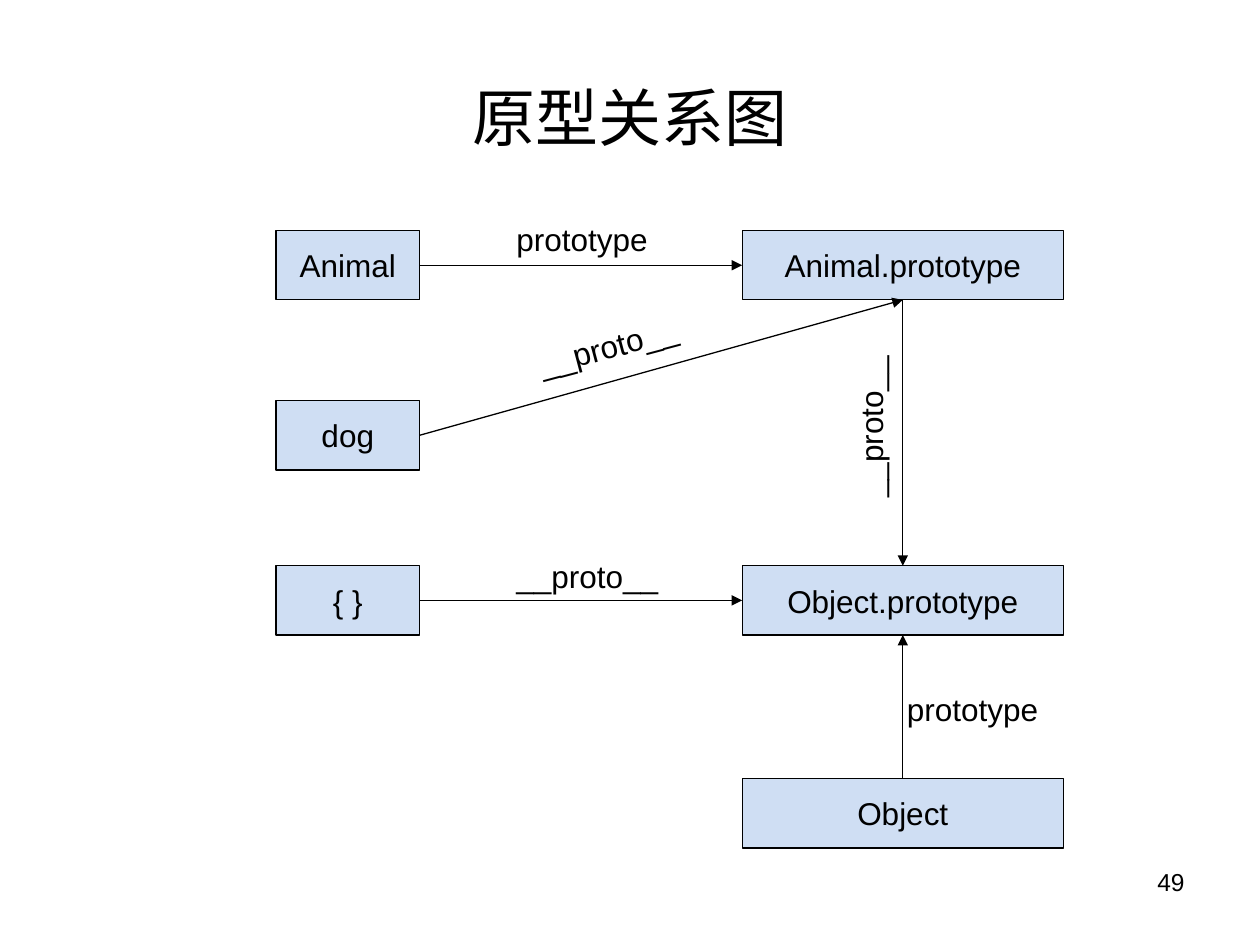
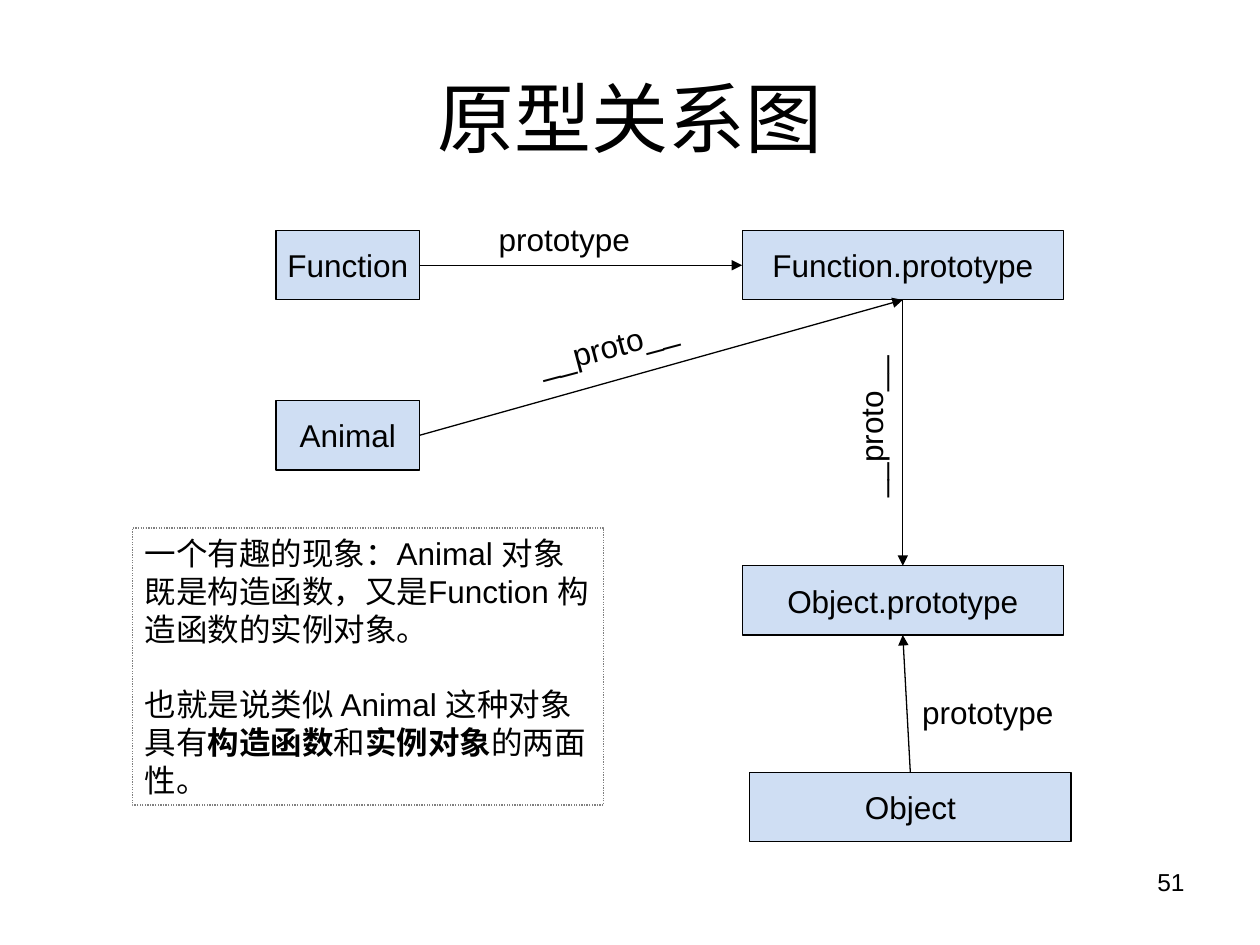
from lxml import etree
from pptx import Presentation
from pptx.dml.color import RGBColor
from pptx.enum.dml import MSO_LINE_DASH_STYLE as Dash
from pptx.enum.shapes import MSO_CONNECTOR as Connector, MSO_SHAPE as Shape
from pptx.enum.text import MSO_ANCHOR as Anchor, MSO_AUTO_SIZE as AutoSize, PP_ALIGN as Align
from pptx.oxml.ns import qn
from pptx.util import Inches, Pt

COLORS = {"ink": "000000", "node": "CFDEF3", "note_edge": "808080"}
FONT = "Arial"
BODY_SIZE = 18

# Diagram grid: (left, width) of each column, top of each row
COLUMNS = {"instance": (2.19, 1.14), "prototype": (5.89, 2.55)}
ROWS = [1.83, 3.18, 4.49, 6.18]
NODE_HEIGHT = 0.55
LABEL_HEIGHT = 0.4
TOP, LEFT, BOTTOM, RIGHT = range(4)


def color(name):
    return RGBColor.from_string(COLORS[name])


def style_text(paragraph, size=BODY_SIZE, align=Align.LEFT):
    paragraph.alignment = align
    font = paragraph.font
    font.name, font.size = FONT, Pt(size)
    font.color.rgb = color("ink")


def add_text(slide, text, left, top, width, height, size=BODY_SIZE, align=Align.LEFT):
    box = slide.shapes.add_textbox(*map(Inches, (left, top, width, height)))
    box.text_frame.word_wrap = True
    box.text_frame.text = text
    style_text(box.text_frame.paragraphs[0], size, align)
    return box


def add_rectangle(slide, left, top, width, height, edge):
    rectangle = slide.shapes.add_shape(
        Shape.RECTANGLE, *map(Inches, (left, top, width, height)))
    rectangle.shadow.inherit = False
    rectangle.line.color.rgb = color(edge)
    rectangle.line.width = Pt(0.75)
    return rectangle


def add_node(slide, text, column, row, shift=(0, 0)):
    left, width = COLUMNS[column]
    node = add_rectangle(slide, left + shift[0], ROWS[row] + shift[1],
                         width, NODE_HEIGHT, "ink")
    node.fill.solid()
    node.fill.fore_color.rgb = color("node")
    frame = node.text_frame
    frame.word_wrap = False
    frame.vertical_anchor = Anchor.MIDDLE
    frame.text = text
    style_text(frame.paragraphs[0], align=Align.CENTER)
    return node


def add_arrow(slide, source, source_side, target, target_side):
    arrow = slide.shapes.add_connector(Connector.STRAIGHT, 0, 0, 0, 0)
    arrow.begin_connect(source, source_side)
    arrow.end_connect(target, target_side)
    arrow.line.color.rgb = color("ink")
    arrow.line.width = Pt(0.75)
    line = arrow.line._get_or_add_ln()
    etree.SubElement(line, qn("a:tailEnd"), type="triangle")
    etree.SubElement(line.getparent(), qn("a:effectLst"))


def add_label(slide, text, left, top, width=1.4, rotation=0):
    label = add_text(slide, text, left, top, width, LABEL_HEIGHT)
    label.rotation = rotation


def add_note(slide, paragraphs, left, top, width, height):
    """Each paragraph is a list of (text, bold) pieces."""
    note = add_rectangle(slide, left, top, width, height, "note_edge")
    note.fill.background()
    note.line.dash_style = Dash.ROUND_DOT
    frame = note.text_frame
    frame.word_wrap = True
    frame.vertical_anchor = Anchor.TOP
    for index, pieces in enumerate(paragraphs):
        paragraph = frame.add_paragraph() if index else frame.paragraphs[0]
        style_text(paragraph)
        if index:
            paragraph.space_before = Pt(21.6)
        for text, bold in pieces:
            run = paragraph.add_run()
            run.text = text
            run.font.bold = bold


def add_diagram_slide(deck, title_size, number, constructor, instance,
                      prototype_label, object_shift=(0, 0)):
    """Title, page number and the prototype chain that both slides share."""
    slide = deck.slides.add_slide(deck.slide_layouts[5])

    # Title and page number
    title = slide.shapes.title
    title.left, title.top, title.width, title.height = map(Inches, (0.5, 0.3, 9, 1.25))
    title.text_frame.text = "原型关系图"
    title.text_frame.vertical_anchor = Anchor.MIDDLE
    title.text_frame.auto_size = AutoSize.NONE
    style_text(title.text_frame.paragraphs[0], title_size, Align.CENTER)
    add_text(slide, number, 7.17, 6.83, 2.33, 0.52, 14, Align.RIGHT)

    # Nodes
    creator = add_node(slide, constructor, "instance", 0)
    child = add_node(slide, instance, "instance", 1)
    own_prototype = add_node(slide, f"{constructor}.prototype", "prototype", 0)
    root_prototype = add_node(slide, "Object.prototype", "prototype", 2)
    root = add_node(slide, "Object", "prototype", 3, object_shift)

    # Relations
    add_arrow(slide, creator, RIGHT, own_prototype, LEFT)
    add_arrow(slide, child, RIGHT, own_prototype, BOTTOM)
    add_arrow(slide, own_prototype, BOTTOM, root_prototype, TOP)
    add_arrow(slide, root, TOP, root_prototype, BOTTOM)
    add_label(slide, "prototype", *prototype_label)
    add_label(slide, "__proto__", 4.16, 2.54, rotation=345)
    add_label(slide, "__proto__", 6.21, 3.15, rotation=270)
    return slide, root_prototype


def main():
    deck = Presentation()
    deck.slide_width, deck.slide_height = Inches(10), Inches(7.5)

    # Instance chain
    slide, root_prototype = add_diagram_slide(
        deck, 36, "49", "Animal", "dog", prototype_label=(4, 1.7))
    literal = add_node(slide, "{ }", "instance", 2)
    add_arrow(slide, literal, RIGHT, root_prototype, LEFT)
    add_label(slide, "__proto__", 4, 4.37)
    add_label(slide, "prototype", 7.1, 5.43)

    # Constructor chain
    slide, _ = add_diagram_slide(
        deck, 44, "51", "Function", "Animal",
        prototype_label=(3.86, 1.7), object_shift=(0.06, -0.05))
    add_label(slide, "prototype", 7.22, 5.45)
    add_note(slide, [
        [("一个有趣的现象：Animal 对象既是构造函数，又是Function 构造函数的实例对象。", False)],
        [("也就是说类似 Animal 这种对象具有", False), ("构造函数", True), ("和", False),
         ("实例对象", True), ("的两面性。", False)],
    ], 1.05, 4.19, 3.74, 2.2)

    deck.save("out.pptx")


if __name__ == "__main__":
    main()
